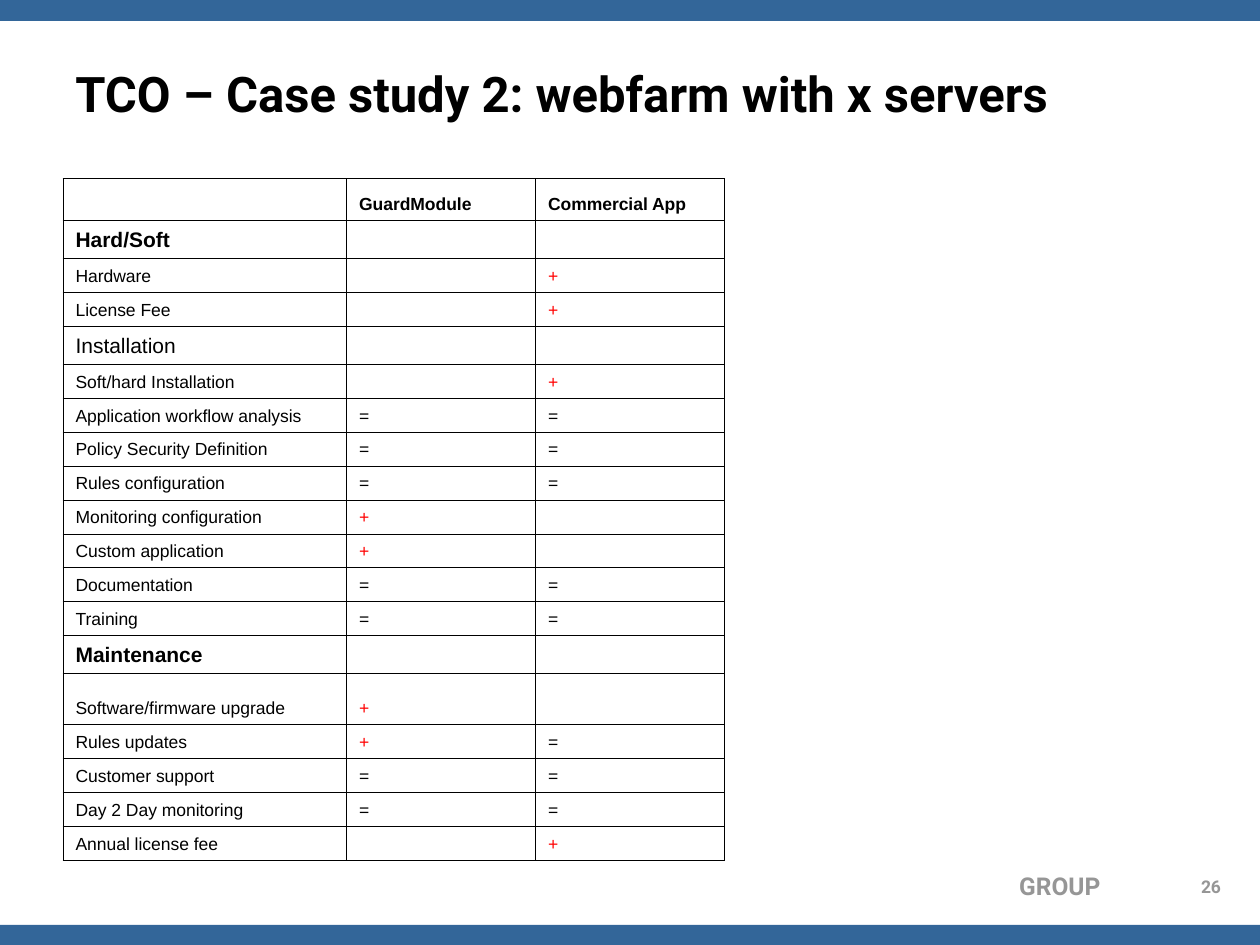
import lxml.etree
import pptx
import pptx.dml.color
import pptx.enum.shapes
import pptx.enum.text
import pptx.oxml.ns
import pptx.util

Pt = pptx.util.Pt
Align = pptx.enum.text.PP_ALIGN
Anchor = pptx.enum.text.MSO_ANCHOR
qn = pptx.oxml.ns.qn


def tint(code):
    return pptx.dml.color.RGBColor.from_string(code)


class Deck:
    """Holds the style and the current slide and draws each kind of element."""

    blue, gray, black, red = "336699", "969696", "000000", "FF0000"
    head, body = "Roboto", "Arial"

    def __init__(self, wide, high):
        self.file = pptx.Presentation()
        self.file.slide_width, self.file.slide_height = Pt(wide), Pt(high)
        self.slide = self.file.slides.add_slide(self.file.slide_layouts[6])

    def words(self, para, text, size, font, color, bold=False):
        run = para.add_run()
        run.text = text
        run.font.size, run.font.name, run.font.bold = Pt(size), font, bold
        run.font.color.rgb = tint(color)

    def bar(self, *place):
        kind = pptx.enum.shapes.MSO_SHAPE.RECTANGLE
        shape = self.slide.shapes.add_shape(kind, *map(Pt, place))
        shape.shadow.inherit = False
        shape.fill.solid()
        shape.fill.fore_color.rgb = tint(self.blue)
        shape.line.fill.background()

    def label(self, place, text, size, color, align=Align.LEFT, anchor=Anchor.TOP):
        frame = self.slide.shapes.add_textbox(*map(Pt, place)).text_frame
        frame.word_wrap = True
        frame.vertical_anchor = anchor
        frame.paragraphs[0].alignment = align
        self.words(frame.paragraphs[0], text, size, self.head, color, True)

    def edge(self, cell, width):
        props = cell._tc.get_or_add_tcPr()
        for side in ("lnL", "lnR", "lnT", "lnB"):
            line = lxml.etree.SubElement(props, qn("a:" + side), w=str(Pt(width)))
            fill = lxml.etree.SubElement(line, qn("a:solidFill"))
            lxml.etree.SubElement(fill, qn("a:srgbClr"), val=self.black)

    def cell(self, cell, text, size, bold):
        self.edge(cell, 0.45)
        cell.fill.background()
        cell.vertical_anchor = Anchor.BOTTOM
        para = cell.text_frame.paragraphs[0]
        if text:
            color = self.red if text == "+" else self.black
            self.words(para, text, size, self.body, color, bold)
        else:
            lxml.etree.SubElement(para._p, qn("a:endParaRPr"), sz=str(size * 100))

    def table(self, left, top, cols, rows):
        high = sum(row[0] for row in rows)
        place = map(Pt, (left, top, sum(cols), high))
        grid = self.slide.shapes.add_table(len(rows), len(cols), *place).table
        grid.first_row = grid.horz_banding = False
        for col, wide in zip(grid.columns, cols):
            col.width = Pt(wide)
        for line, (high, size, bold, texts) in zip(grid.rows, rows):
            line.height = Pt(high)
            for cell, text in zip(line.cells, texts):
                self.cell(cell, text, size, bold)

    def save(self):
        self.file.save("out.pptx")


def group(name, bold=True):
    return 21.7, 12, bold, (name, "", "")


def item(name, ours, theirs, high=19.4):
    return high, 10, False, (name, ours, theirs)


ROWS = [
    (24, 10, True, ("", "GuardModule", "Commercial App")),
    group("Hard/Soft"),
    item("Hardware", "", "+"),
    item("License Fee", "", "+"),
    group("Installation", False),
    item("Soft/hard Installation", "", "+"),
    item("Application workflow analysis", "=", "="),
    item("Policy Security Definition", "=", "="),
    item("Rules configuration", "=", "="),
    item("Monitoring configuration", "+", ""),
    item("Custom application", "+", ""),
    item("Documentation", "=", "="),
    item("Training", "=", "="),
    group("Maintenance"),
    item("Software/firmware upgrade", "+", "", 29.1),
    item("Rules updates", "+", "="),
    item("Customer support", "=", "="),
    item("Day 2 Day monitoring", "=", "="),
    item("Annual license fee", "", "+"),
]


def main():
    deck = Deck(720, 540)
    for top in (0, 528.5):
        deck.bar(0, top, 720, 12)
    deck.label((448, 494, 188, 24), "GROUP", 14, deck.gray, Align.RIGHT)
    title = "TCO – Case study 2: webfarm with x servers"
    deck.label((36, 21.6, 648, 62.6), title, 28, deck.black, anchor=Anchor.MIDDLE)
    deck.table(36, 102, (162, 108, 108), ROWS)
    deck.label((676, 497, 32, 18), "26", 10, deck.gray, Align.CENTER)
    deck.save()


if __name__ == "__main__":
    main()
